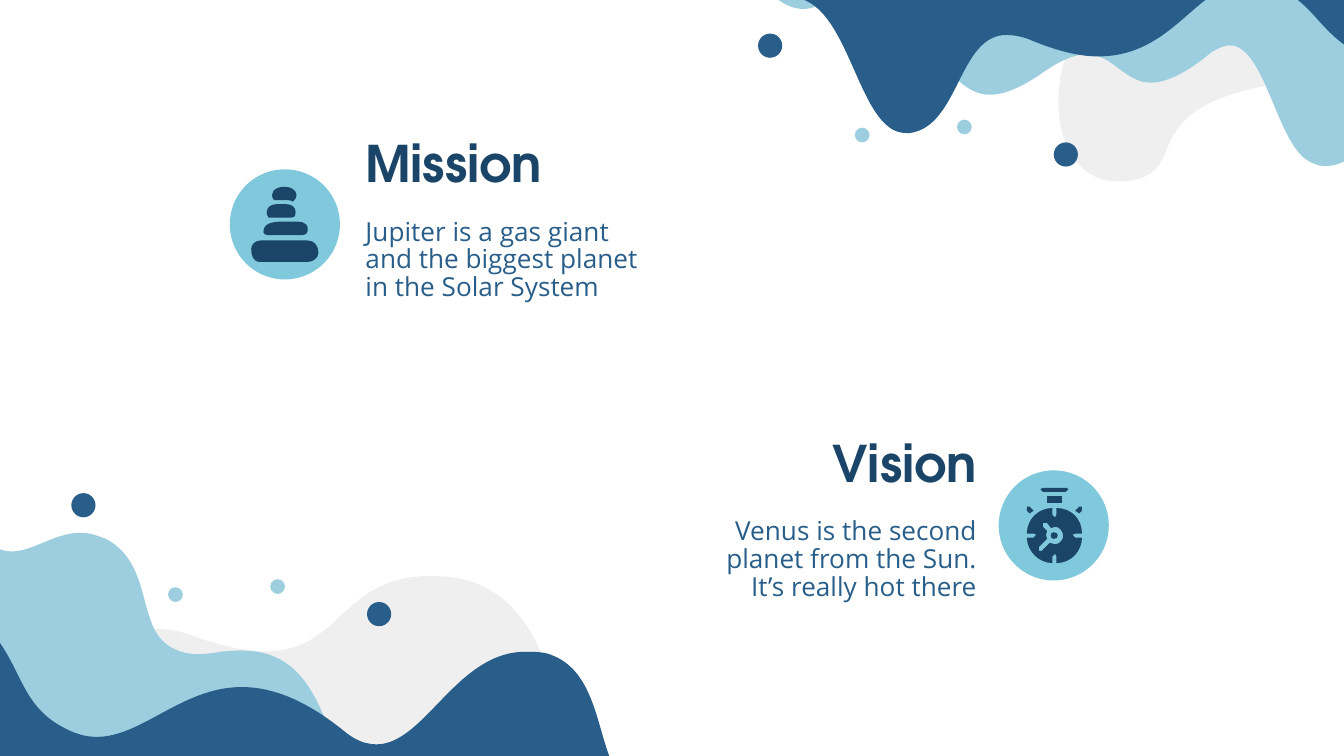
from dataclasses import dataclass

from lxml import etree
from pptx import Presentation
from pptx.dml.color import RGBColor
from pptx.enum import shapes, text
from pptx.oxml import ns
from pptx.util import Pt


@dataclass(frozen=True)
class Theme:
    """Colours, fonts and type sizes of the deck."""
    navy: str = "1A4568"
    blue: str = "285E89"
    sky: str = "9DCEDF"
    aqua: str = "80C9DD"
    mist: str = "EFEFEF"
    heading_font: str = "TeX Gyre Adventor"
    body_font: str = "Open Sans"
    heading_size: float = 27
    body_size: float = 14


THEME = Theme()
UNIT = Pt(0.72)

TOP_WAVES = [
    (THEME.mist, "M 508 6 C 510 -19 494 -45 465 -55 C 408 -76 340 -40 309 9 C 297 28 290 47 288 65 "
     "C 284 104 302 135 331 135 C 391 134 339 86 436 65 C 483 56 505 31 508 6 Z"),
    (THEME.sky, "M 96 -88 L 78 -1 C 83 3 88 5 92 6 C 113 11 128 -14 149 -10 C 157 -8 166 -2 176 11 "
     "C 198 41 210 65 231 70 C 242 72 256 68 276 54 C 293 42 305 39 314 41 C 328 44 337 58 351 61 "
     "C 362 63 377 59 400 40 C 407 35 413 33 418 34 C 443 40 451 111 476 121 L 481 123 "
     "C 501 127 511 108 537 106 L 558 8 Z"),
    (THEME.blue, "M 78 -42 L 78 -1 C 82 -2 85 -2 88 -2 C 133 -2 137 99 174 99 L 177 99 "
     "C 214 94 213 26 249 26 C 254 26 259 27 265 29 C 286 38 303 42 317 42 C 374 42 390 -13 429 -13 "
     "L 435 -12 C 488 -5 473 39 549 52 L 549 -42 Z"),
]
BOTTOM_WAVES = [
    (THEME.mist, "M 53 162 C 53 162 63 43 143 73 C 264 117 235 22 330 29 C 418 34 418 162 418 162 Z"),
    (THEME.sky, "M 76 0 L 79 1 C 116 21 100 70 130 83 C 138 87 148 88 164 85 "
     "C 181 83 194 84 205 89 C 250 109 245 186 283 202 L 288 204 "
     "C 340 218 349 161 425 177 L 365 311 L -65 121 L -12 1 C -9 4 -5 6 -2 8 C 23 19 44 -14 76 0 Z"),
    (THEME.blue, "M 406 86 C 401 85 396 85 390 85 C 336 86 313 163 273 153 C 268 152 262 149 256 144 "
     "C 235 127 217 118 201 114 C 139 98 105 158 61 147 L 55 145 C -1 122 28 74 -53 37 "
     "L -80 147 L 441 280 L 466 182 C 442 164 451 98 406 86 Z"),
]
DOTS = [(220, 81, 18, THEME.blue), (72, 70, 11, THEME.sky),
        (148, 64, 11, THEME.sky), (0, 0, 18, THEME.blue)]
STACKED_STONES = [
    "M 41 13 C 33 13 29 18 33 23 C 36 23 39 23 41 23 C 44 23 46 23 47 24 C 53 19 48 13 41 13 Z",
    "M 35 26 C 29 26 25 31 29 36 L 45 36 C 49 36 49 34 49 32 C 49 28 46 26 42 26 Z",
    "M 39 39 C 32 39 25 40 25 47 C 25 48 27 49 28 49 L 54 49 C 56 49 58 48 58 46 "
    "C 59 42 56 39 51 39 Z",
    "M 58 53 L 23 53 C 19 53 16 56 16 59 C 16 64 17 69 23 69 L 58 69 C 62 69 66 66 66 62 "
    "C 66 57 63 53 58 53 Z",
]
STOPWATCH = [
    "M 36 19 L 36 24 L 47 24 L 47 19 Z",
    "M 60 27 L 57 30 L 60 32 L 62 30 L 62 27 Z",
    "M 23 27 L 21 27 L 21 30 L 23 32 L 26 30 Z",
    "M 33 39 L 36 39 L 39 43 L 42 42 C 45 42 48 45 48 49 C 48 52 45 55 42 55 L 38 54 "
    "L 32 60 L 30 60 L 30 57 L 36 51 C 35 49 35 47 36 45 L 33 42 Z "
    "M 40 28 C 30 28 21 36 21 47 L 26 47 L 28 48 L 26 50 L 21 50 "
    "C 21 60 30 69 40 69 L 40 64 L 42 62 L 43 64 L 43 69 "
    "C 54 69 62 60 62 50 L 57 50 L 55 48 L 57 47 L 62 47 "
    "C 62 36 54 28 43 28 L 43 33 L 42 35 L 40 33 Z",
    "M 41 46 C 38 46 38 51 41 51 C 45 51 45 46 41 46 Z",
    "M 33 13 L 31 14 L 33 16 L 50 16 L 52 14 L 50 13 Z",
]


def paint(shape, color):
    """Fill a shape with one colour, without line or shadow."""
    shape.shadow.inherit = False
    shape.fill.solid()
    shape.fill.fore_color.rgb = RGBColor.from_string(color)
    shape.line.fill.background()


def bend_segments(shape, commands):
    """Turn each curve's three straight segments into one cubic curve."""
    segments = iter(list(shape.element.iter(ns.qn("a:lnTo"))))
    for command in commands:
        segment = next(segments)
        if command == "C":
            segment.tag = ns.qn("a:cubicBezTo")
            for _ in range(2):
                extra = next(segments)
                segment.append(extra[0])
                extra.getparent().remove(extra)


def add_outline(container, outline, left, top, color):
    """Draw an outline of M, L, C and Z commands from a corner."""
    builder, commands = None, []
    for contour in outline.split("M ")[1:]:
        tokens = contour.split()
        commands += [token for token in tokens if token in ("L", "C")]
        values = [int(token) * UNIT for token in tokens if token not in ("L", "C", "Z")]
        start, *vertices = zip(values[::2], values[1::2])
        if builder is None:
            builder = container.build_freeform(*start, scale=1.0)
        else:
            builder.move_to(*start)
        builder.add_line_segments(vertices, close=True)
    shape = builder.convert_to_shape(Pt(left), Pt(top))
    bend_segments(shape, commands)
    paint(shape, color)


def add_circle(slide, left, top, size, color):
    """Draw a plain circle, given in points."""
    circle = slide.shapes.add_shape(shapes.MSO_SHAPE.OVAL, Pt(left), Pt(top), Pt(size), Pt(size))
    paint(circle, color)


def add_waves(slide, left, top, waves, dots_left, dots_top):
    """Draw layered waves and their dots in a corner of the slide."""
    for color, outline in waves:
        add_outline(slide.shapes, outline, left, top, color)
    for x, y, size, color in DOTS:
        add_circle(slide, left + dots_left + x * 0.72, top + dots_top + y * 0.72, size * 0.72, color)


def add_icon(slide, left, top, size, outlines):
    """Draw an icon on its round badge."""
    add_circle(slide, left, top, size, THEME.aqua)
    group = slide.shapes.add_group_shape()
    for outline in outlines:
        add_outline(group.shapes, outline, left, top, THEME.navy)


def fill_placeholder(placeholder, box, words, align, anchor, font, size, color, bold, spacing):
    """Place a placeholder in a box and set its text."""
    placeholder.left, placeholder.top, placeholder.width, placeholder.height = map(Pt, box)
    frame = placeholder.text_frame
    frame.text = words
    frame.word_wrap = True
    frame.auto_size = text.MSO_AUTO_SIZE.NONE
    frame.vertical_anchor = anchor
    frame.margin_left = frame.margin_top = frame.margin_right = frame.margin_bottom = Pt(7.2)
    paragraph = frame.paragraphs[0]
    properties = paragraph._p.get_or_add_pPr()
    properties.set("marL", "0")
    properties.set("indent", "0")
    etree.SubElement(properties, ns.qn("a:buNone"))
    paragraph.alignment = align
    paragraph.space_before = Pt(0)
    paragraph.line_spacing = spacing
    paragraph.font.name = font
    paragraph.font.size = Pt(size)
    paragraph.font.bold = bold
    paragraph.font.color.rgb = RGBColor.from_string(color)


def add_statement(heading, body, left, top, title, words, align):
    """Place a heading above its text in one column."""
    fill_placeholder(heading, (left, top, 164, 50), title, align, text.MSO_ANCHOR.BOTTOM,
                     THEME.heading_font, THEME.heading_size, THEME.navy, True, 1.0)
    fill_placeholder(body, (left, top + 49.7, 164, 74), words, align, text.MSO_ANCHOR.TOP,
                     THEME.body_font, THEME.body_size, THEME.blue, False, 0.88)


def main():
    """Build the mission and vision slide."""
    presentation = Presentation()
    presentation.slide_width, presentation.slide_height = Pt(720), Pt(405)
    slide = presentation.slides.add_slide(presentation.slide_layouts.get_by_name("Comparison"))
    title, mission, vision, vision_title, spare = slide.placeholders
    spare.element.getparent().remove(spare.element)

    add_waves(slide, 0, 288, BOTTOM_WAVES, 38.2, -23.8)
    add_waves(slide, 360, 0, TOP_WAVES, 46.1, 18)
    add_statement(title, mission, 188.6, 60.5, "Mission",
                  "Jupiter is a gas giant and the biggest planet in the Solar System",
                  text.PP_ALIGN.LEFT)
    add_statement(vision_title, vision, 366.5, 221, "Vision",
                  "Venus is the second planet from the Sun. It’s really hot there",
                  text.PP_ALIGN.RIGHT)
    add_icon(slide, 123.1, 90.7, 59, STACKED_STONES)
    add_icon(slide, 535, 252, 59, STOPWATCH)
    presentation.save("out.pptx")


if __name__ == "__main__":
    main()
